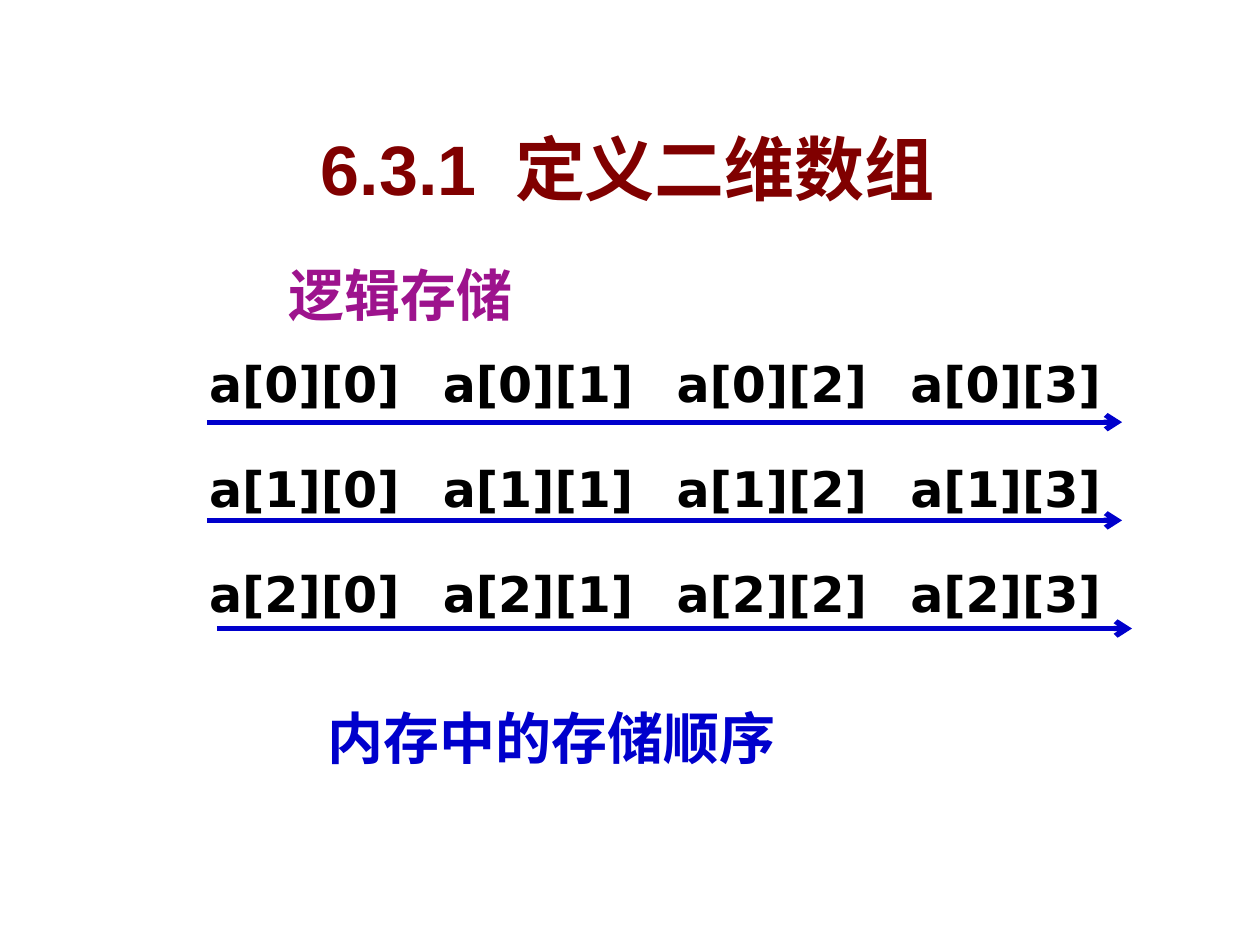
"""Build the slide on defining a two-dimensional array."""
import pptx
import pptx.dml.color
import pptx.enum.shapes
import pptx.enum.text
import pptx.oxml.ns
import pptx.util
from lxml import etree

Cm = pptx.util.Cm
Pt = pptx.util.Pt
qn = pptx.oxml.ns.qn
HUES = {"title": "800000", "logic": "9D138D", "order": "0000CC",
        "text": "000000", "cell": "FFFFFF", "shade": "C0C0C0"}


def tint(name):
    """Return the named colour."""
    return pptx.dml.color.RGBColor.from_string(HUES[name])


def write(para, text, size, hue, face="Arial"):
    """Add one bold run to a paragraph."""
    run = para.add_run()
    run.text = text
    run.font.size = Pt(size)
    run.font.bold = True
    run.font.color.rgb = tint(hue)
    run.font.name = face
    return run


def frame(slide, box):
    """Add a wrapping text box and return its text frame."""
    area = slide.shapes.add_textbox(*map(Cm, box)).text_frame
    area.word_wrap = True
    return area


def shade(run):
    """Give a run a soft grey shadow."""
    fx = etree.Element(qn("a:effectLst"))
    drop = etree.SubElement(fx, qn("a:outerShdw"), dist="38100", dir="2700000")
    etree.SubElement(drop, qn("a:srgbClr"), val=HUES["shade"])
    run.font.fill._xPr.find(qn("a:solidFill")).addnext(fx)


def add_title(slide, box):
    """Place the centred title, with a widened gap after the number."""
    area = frame(slide, box)
    area.vertical_anchor = pptx.enum.text.MSO_ANCHOR.BOTTOM
    para = area.paragraphs[0]
    para.alignment = pptx.enum.text.PP_ALIGN.CENTER
    for text in ("6.3.1", " ", "定义二维数组"):
        run = write(para, text, 40, "title")
        shade(run)
        if text == " ":
            run.font._element.set("spc", "1100")


def add_label(slide, box, text, hue):
    """Place a heading for one way of storing."""
    write(frame(slide, box).paragraphs[0], text, 32, hue)


def add_arrow(slide, left, top, width):
    """Draw a level arrow pointing right."""
    kind = pptx.enum.shapes.MSO_CONNECTOR.STRAIGHT
    arrow = slide.shapes.add_connector(
        kind, Cm(left), Cm(top), Cm(left + width), Cm(top))
    arrow.line.color.rgb = tint("order")
    arrow.line.width = Pt(3)
    etree.SubElement(arrow.line._get_or_add_ln(), qn("a:tailEnd"), type="arrow")
    etree.SubElement(arrow._element.spPr, qn("a:effectLst"))


def add_grid(slide, box, rows=3, cols=4):
    """Place the table of elements and an arrow under each row."""
    left, top, width, _ = box
    table = slide.shapes.add_table(rows, cols, *map(Cm, box)).table
    table.first_row = table.horz_banding = False
    for i in range(rows):
        for j in range(cols):
            cell = table.cell(i, j)
            cell.fill.solid()
            cell.fill.fore_color.rgb = tint("cell")
            cell.vertical_anchor = pptx.enum.text.MSO_ANCHOR.MIDDLE
            para = cell.text_frame.paragraphs[0]
            write(para, f"a[{i}][{j}]", 28, "text", "DejaVu Sans")
    for dx, dy in ((0.21, 1.8), (0.21, 3.78), (0.41, 5.96)):
        add_arrow(slide, left + dx, top + dy, width - 0.4)


def main():
    """Build and save the slide."""
    deck = pptx.Presentation()
    deck.slide_width, deck.slide_height = Cm(25.4), Cm(19.05)
    slide = deck.slides.add_slide(deck.slide_layouts[6])
    add_title(slide, (0.3, 2.39, 24.71, 1.96))
    add_grid(slide, (3.96, 6.71, 18.85, 6.35))
    add_label(slide, (5.56, 5.13, 9.32, 1.63), "逻辑存储", "logic")
    add_label(slide, (6.35, 14.05, 12.12, 1.63), "内存中的存储顺序", "order")
    deck.save("out.pptx")


if __name__ == "__main__":
    main()
